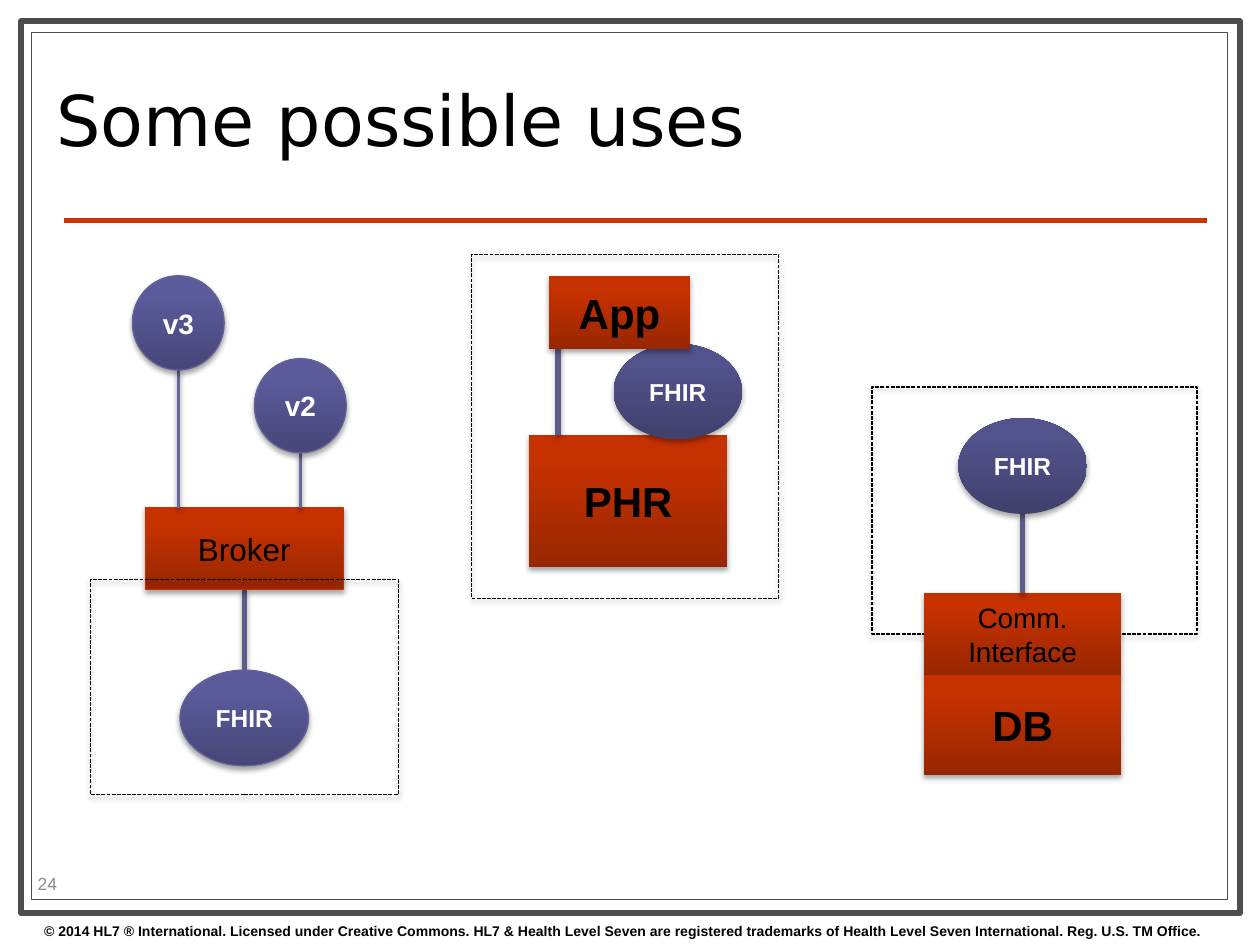
from copy import deepcopy

from lxml.etree import SubElement
from pptx import Presentation
from pptx.dml.color import RGBColor
from pptx.enum.dml import MSO_LINE
from pptx.enum.shapes import MSO_CONNECTOR, MSO_SHAPE
from pptx.enum.text import MSO_ANCHOR, PP_ALIGN
from pptx.oxml.ns import qn
from pptx.util import Cm, Pt

STOPS = (0, 0.8, 1)
RED = ("982600", "C63100", "C73200")
VIOLET = ("464678", "5B5B9C", "5B5B9E")
DARK_VIOLET = ("40406C", "52528C", "52528E")
RED_EDGE, VIOLET_EDGE = "C83200", "636397"
LINK, THIN_LINK = "5C5C8A", "666699"

NAME = {"size": Pt(24), "bold": True}
STANDARD = {"size": Pt(14), "bold": True}
VERSION = {"size": Pt(16), "bold": True}

BOX_WIDTH, BOX_HEIGHT = 3.99, 1.65
OVAL = (2.59, 1.93)
CIRCLE = (1.85, 1.9)


def color(value):
    return RGBColor.from_string(value)


class SlideBuilder:
    font_name = "Arial"

    def __init__(self, page):
        self.page = page

    def fill_text(self, frame, text, shade, font, align=PP_ALIGN.LEFT, spacing=None):
        """Fill a text frame, one paragraph per line of text."""
        frame.word_wrap = True
        frame.vertical_anchor = MSO_ANCHOR.MIDDLE
        for number, line in enumerate(text.split("\n")):
            para = frame.add_paragraph() if number else frame.paragraphs[0]
            para.alignment = align
            para.line_spacing = spacing
            span = para.add_run()
            span.text = line
            for key, value in {"name": self.font_name, **font}.items():
                setattr(span.font, key, value)
            span.font.color.rgb = color(shade)

    def text(self, place, text, shade, font, spacing=None):
        box = self.page.shapes.add_textbox(*map(Cm, place))
        self.fill_text(box.text_frame, text, shade, font, spacing=spacing)

    def shadow(self, effects, strength=35, distance=1.8):
        """Soft shadow straight below; strength in percent, distance in points."""
        outer = SubElement(effects, qn("a:outerShdw"), blurRad=str(Pt(3.1)),
                           dist=str(Pt(distance)), dir="5400000", rotWithShape="0")
        black = SubElement(outer, qn("a:srgbClr"), val="000000")
        SubElement(black, qn("a:alpha"), val=str(strength * 1000))

    def shape(self, kind, place, edge=None, width=0.75):
        shape = self.page.shapes.add_shape(kind, *map(Cm, place))
        shape.shadow.inherit = False
        if edge:
            shape.line.color.rgb = color(edge)
            shape.line.width = Pt(width)
        else:
            shape.line.fill.background()
        return shape

    def frame(self, place, width):
        frame = self.shape(MSO_SHAPE.RECTANGLE, place, "4D4D4D", width)
        frame.fill.solid()
        frame.fill.fore_color.rgb = color("FFFFFF")

    def boundary(self, *place):
        """Dashed outline of a system."""
        box = self.shape(MSO_SHAPE.RECTANGLE, place, "000000")
        box.fill.background()
        box.line.dash_style = MSO_LINE.SQUARE_DOT
        self.shadow(box._element.spPr.find(qn("a:effectLst")), 38, 1.6)

    def node(self, kind, place, colors, text, shade, font, edge):
        """Shaded shape with centred text, lightest at the top."""
        node = self.shape(kind, place, edge)
        node.fill.gradient()
        node.fill.gradient_angle = 90
        stop_list = node._element.spPr.find(qn("a:gradFill")).find(qn("a:gsLst"))
        stop_list.insert(1, deepcopy(stop_list[0]))
        for stop, position, value in zip(node.fill.gradient_stops, STOPS, colors):
            stop.position = position
            stop.color.rgb = color(value)
        self.shadow(node._element.spPr.find(qn("a:effectLst")))
        self.fill_text(node.text_frame, text, shade, font, PP_ALIGN.CENTER)
        return node

    def box(self, place, text, font, edge=None):
        return self.node(MSO_SHAPE.RECTANGLE, place, RED, text, "000000", font, edge)

    def oval(self, left, top, size, text, font, colors=VIOLET, edge=None):
        return self.node(MSO_SHAPE.OVAL, (left, top, *size), colors, text,
                         "FFFFFF", font, edge)

    def line(self, start, end, shade, width, shadow=(35, 1.8)):
        line = self.page.shapes.add_connector(
            MSO_CONNECTOR.STRAIGHT, *map(Cm, (*start, *end)))
        line.line.color.rgb = color(shade)
        line.line.width = Pt(width)
        effects = SubElement(line._element.spPr, qn("a:effectLst"))
        if shadow:
            self.shadow(effects, *shadow)
        return line


def main():
    deck = Presentation()
    deck.slide_width, deck.slide_height = Cm(25.4), Cm(19.05)
    slide = SlideBuilder(deck.slides.add_slide(deck.slide_layouts[6]))

    # Page frame, title and footer
    slide.frame((0.43, 0.43, 24.56, 17.98), 3.5)
    slide.frame((0.64, 0.66, 24.1, 17.48), 0.75)
    slide.line((1.3, 4.45), (24.33, 4.45), "CC3300", 3, shadow=None)
    slide.text((0.64, 18.47, 25.4, 0.58),
               "© 2014 HL7 ® International. Licensed under Creative Commons. "
               "HL7 & Health Level Seven are registered trademarks of "
               "Health Level Seven International. Reg. U.S. TM Office.",
               "000000", {"size": Pt(8), "bold": True})
    slide.text((0.89, 0.91, 18.21, 3.28), "Some possible uses", "000000",
               {"name": "DejaVu Sans", "size": Pt(40)}, spacing=0.8)
    slide.text((0.51, 17.5, 2.01, 0.61), "24", "8C8C8C", {"size": Pt(10)})

    # Broker between older versions and FHIR
    broker_top = 10.24
    link = slide.line((4.93, 13.51), (4.93, 11.89), LINK, 3)
    fhir = slide.oval(3.63, 13.51, OVAL, "FHIR", STANDARD, edge=VIOLET_EDGE)
    broker = slide.box((2.93, broker_top, BOX_WIDTH, BOX_HEIGHT), "Broker",
                       {"size": Pt(18)}, RED_EDGE)
    link.begin_connect(fhir, 0)
    link.end_connect(broker, 2)
    slide.boundary(1.83, 11.68, 6.2, 4.34)
    for label, left, top in (("v3", 2.67, 5.56), ("v2", 5.13, 7.23)):
        middle = left + CIRCLE[0] / 2
        slide.line((middle, broker_top), (middle, top + CIRCLE[1]),
                   THIN_LINK, 2, (38, 1.6))
        slide.oval(left, top, CIRCLE, label, VERSION, edge=VIOLET_EDGE)

    # App on a health record
    slide.box((10.67, 8.76, BOX_WIDTH, 2.67), "PHR", NAME)
    slide.line((11.25, 8.76), (11.25, 6.96), LINK, 3)
    slide.boundary(9.5, 5.13, 6.2, 6.93)
    slide.oval(12.37, 6.93, OVAL, "FHIR", STANDARD, DARK_VIOLET)
    slide.box((11.07, 5.56, 2.84, 1.47), "App", NAME)

    # Database behind a communication interface
    left, top = 18.62, 11.96
    slide.boundary(17.58, 7.8, 6.55, 4.98)
    interface = slide.box((left, top, BOX_WIDTH, BOX_HEIGHT), "Comm.\nInterface",
                          {"size": Pt(16)})
    slide.box((left, top + BOX_HEIGHT, BOX_WIDTH, 2.01), "DB", NAME)
    middle = left + BOX_WIDTH / 2
    link = slide.line((middle, top), (middle, 10.36), LINK, 3)
    link.begin_connect(interface, 0)
    slide.oval(middle - OVAL[0] / 2, 8.43, OVAL, "FHIR", STANDARD, DARK_VIOLET)

    deck.save("out.pptx")


if __name__ == "__main__":
    main()
